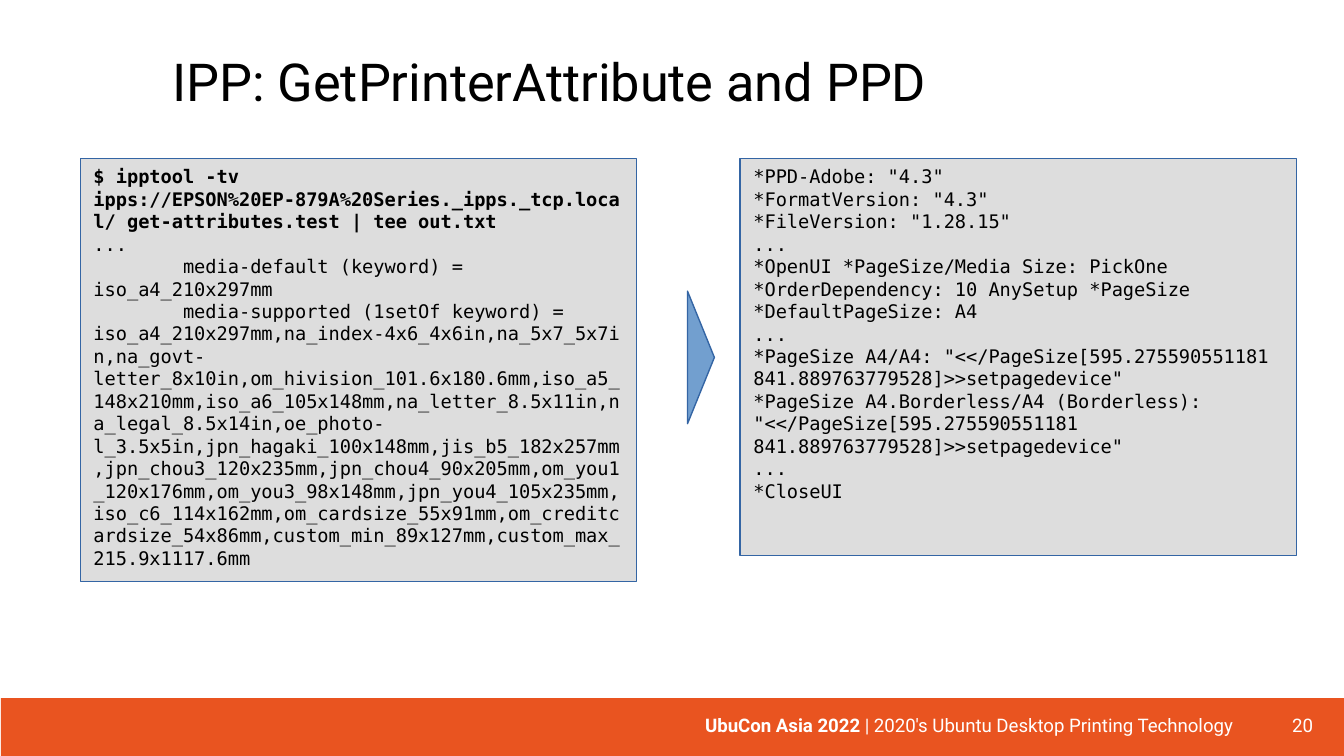
import pptx
import pptx.dml.color
import pptx.enum.shapes
import pptx.enum.text
import pptx.util

Pt = pptx.util.Pt
RGB = pptx.dml.color.RGBColor.from_string
SHAPE = pptx.enum.shapes.MSO_SHAPE
ALIGN = pptx.enum.text.PP_ALIGN
ANCHOR = pptx.enum.text.MSO_ANCHOR

THEME = {
    "ink": RGB("000000"), "white": RGB("FFFFFF"), "bar": RGB("E95420"),
    "panel": RGB("DDDDDD"), "outline": RGB("3465A4"), "arrow": RGB("729FCF"),
    "font": "Roboto", "mono": "DejaVu Sans Mono",
    "title": Pt(28), "text": Pt(10),
}


def write(shape, text, lead="", font=THEME["font"], size=THEME["text"],
          color=THEME["ink"], align=ALIGN.LEFT, anchor=ANCHOR.TOP,
          margin=7.2, spacing=None):
    """Write text, one paragraph per line, after an optional bold lead."""
    frame = shape.text_frame
    frame.word_wrap = True
    frame.auto_size = pptx.enum.text.MSO_AUTO_SIZE.NONE
    frame.vertical_anchor = anchor
    frame.margin_left = frame.margin_right = Pt(7.2)
    frame.margin_top = frame.margin_bottom = Pt(margin)
    for number, line in enumerate(text.split("\n")):
        paragraph = frame.add_paragraph() if number else frame.paragraphs[0]
        paragraph.alignment = align
        paragraph.line_spacing = spacing
        parts = [(line, False)]
        if number == 0:
            parts.insert(0, (lead, True))
        for words, bold in parts:
            if words:
                run = paragraph.add_run()
                run.text = words
                run.font.name, run.font.size = font, size
                run.font.bold, run.font.color.rgb = bold, color


def add_block(kind, left, top, width, height, fill, line=None):
    """Add a filled shape, with a hairline if a line colour is given."""
    block = slide.shapes.add_shape(kind, Pt(left), Pt(top), Pt(width), Pt(height))
    block.shadow.inherit = False
    block.fill.solid()
    block.fill.fore_color.rgb = fill
    if line is None:
        block.line.fill.background()
    else:
        block.line.color.rgb = line
        block.line.width = Pt(0)
    return block


presentation = pptx.Presentation()
presentation.slide_width, presentation.slide_height = Pt(720), Pt(405)
slide = presentation.slides.add_slide(presentation.slide_layouts[5])

# Footer bar
add_block(SHAPE.RECTANGLE, 0.5, 374, 720, 31, THEME["bar"])

# Title
title = slide.shapes.title
title.left, title.top, title.width, title.height = Pt(85), Pt(23), Pt(610.5), Pt(45.5)
write(title, "IPP: GetPrinterAttribute and PPD", size=THEME["title"], spacing=0.9)

# Page number and footer text
page_number = slide.shapes.add_textbox(Pt(667.5), Pt(373), Pt(43), Pt(31))
write(page_number, "20", color=THEME["white"], align=ALIGN.RIGHT, anchor=ANCHOR.MIDDLE)
footer = slide.shapes.add_textbox(Pt(166.5), Pt(375), Pt(501), Pt(27))
write(footer, " | 2020's Ubuntu Desktop Printing Technology", lead="UbuCon Asia 2022",
      color=THEME["white"], align=ALIGN.RIGHT)

# Code panels: PPD file on the right, printer attributes on the left
ppd = """*PPD-Adobe: "4.3"
*FormatVersion: "4.3"
*FileVersion: "1.28.15"
...
*OpenUI *PageSize/Media Size: PickOne
*OrderDependency: 10 AnySetup *PageSize
*DefaultPageSize: A4
...
*PageSize A4/A4: "<</PageSize[595.275590551181 841.889763779528]>>setpagedevice"
*PageSize A4.Borderless/A4 (Borderless): "<</PageSize[595.275590551181 841.889763779528]>>setpagedevice"
...
*CloseUI"""
command = ("$ ipptool -tv ipps://EPSON%20EP-879A%20Series._ipps._tcp.local/ "
           "get-attributes.test | tee out.txt")
media = [
    "iso_a4_210x297mm", "na_index-4x6_4x6in", "na_5x7_5x7in", "na_govt-letter_8x10in",
    "om_hivision_101.6x180.6mm", "iso_a5_148x210mm", "iso_a6_105x148mm",
    "na_letter_8.5x11in", "na_legal_8.5x14in", "oe_photo-l_3.5x5in",
    "jpn_hagaki_100x148mm", "jis_b5_182x257mm", "jpn_chou3_120x235mm",
    "jpn_chou4_90x205mm", "om_you1_120x176mm", "om_you3_98x148mm",
    "jpn_you4_105x235mm", "iso_c6_114x162mm", "om_cardsize_55x91mm",
    "om_creditcardsize_54x86mm", "custom_min_89x127mm", "custom_max_215.9x1117.6mm",
]
attributes = f"""
...
        media-default (keyword) = {media[0]}
        media-supported (1setOf keyword) = {",".join(media)}"""

for left, height, lead, code in ((396.5, 212.5, "", ppd), (43, 226.5, command, attributes)):
    panel = add_block(SHAPE.RECTANGLE, left, 85, 298, height, THEME["panel"], THEME["outline"])
    write(panel, code, lead=lead, font=THEME["mono"], margin=3.6)

# Arrow between the panels
arrow = add_block(SHAPE.ISOSCELES_TRIANGLE, 340, 184.3, 71, 14.4,
                  THEME["arrow"], THEME["outline"])
arrow.rotation = 90

presentation.save("out.pptx")
